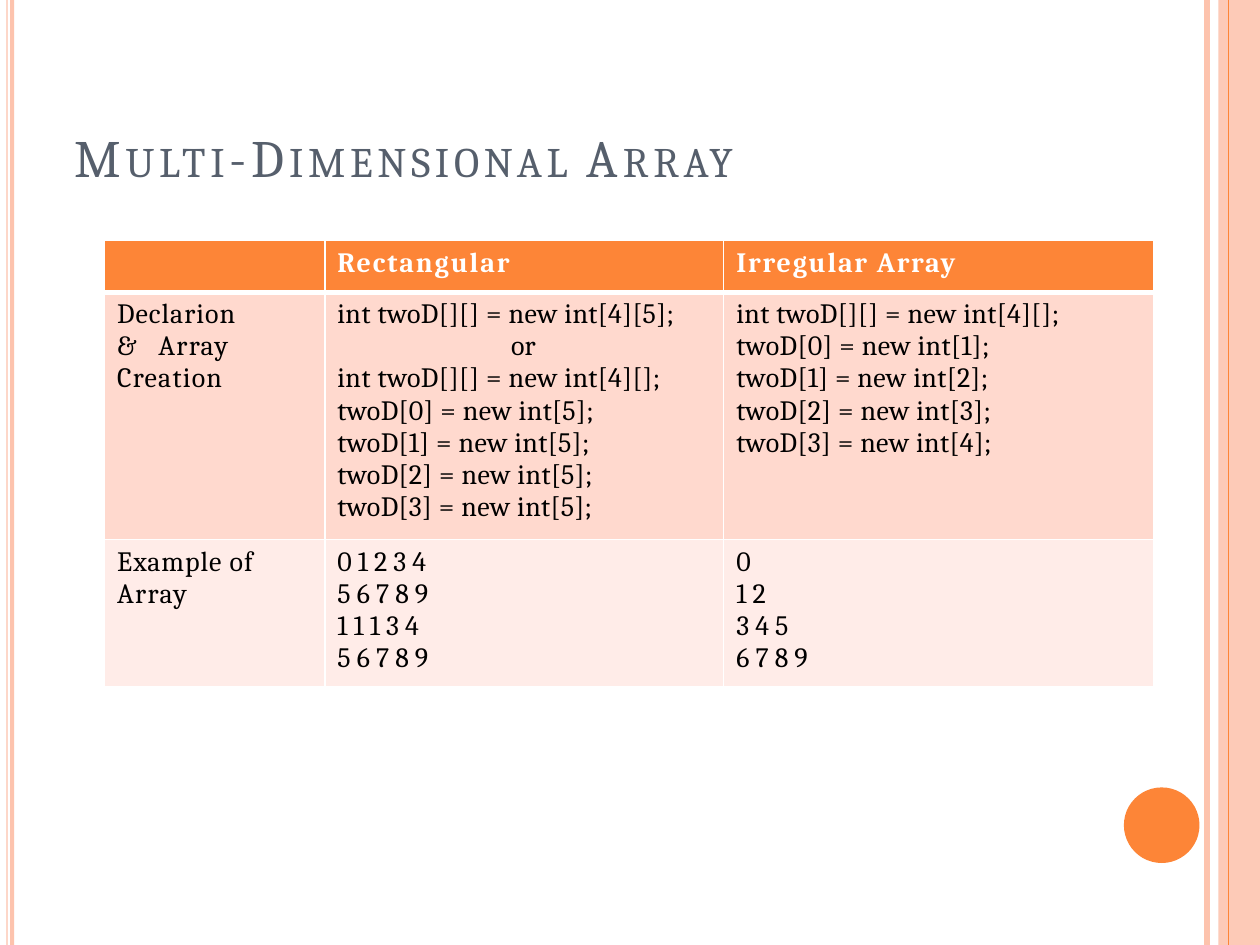
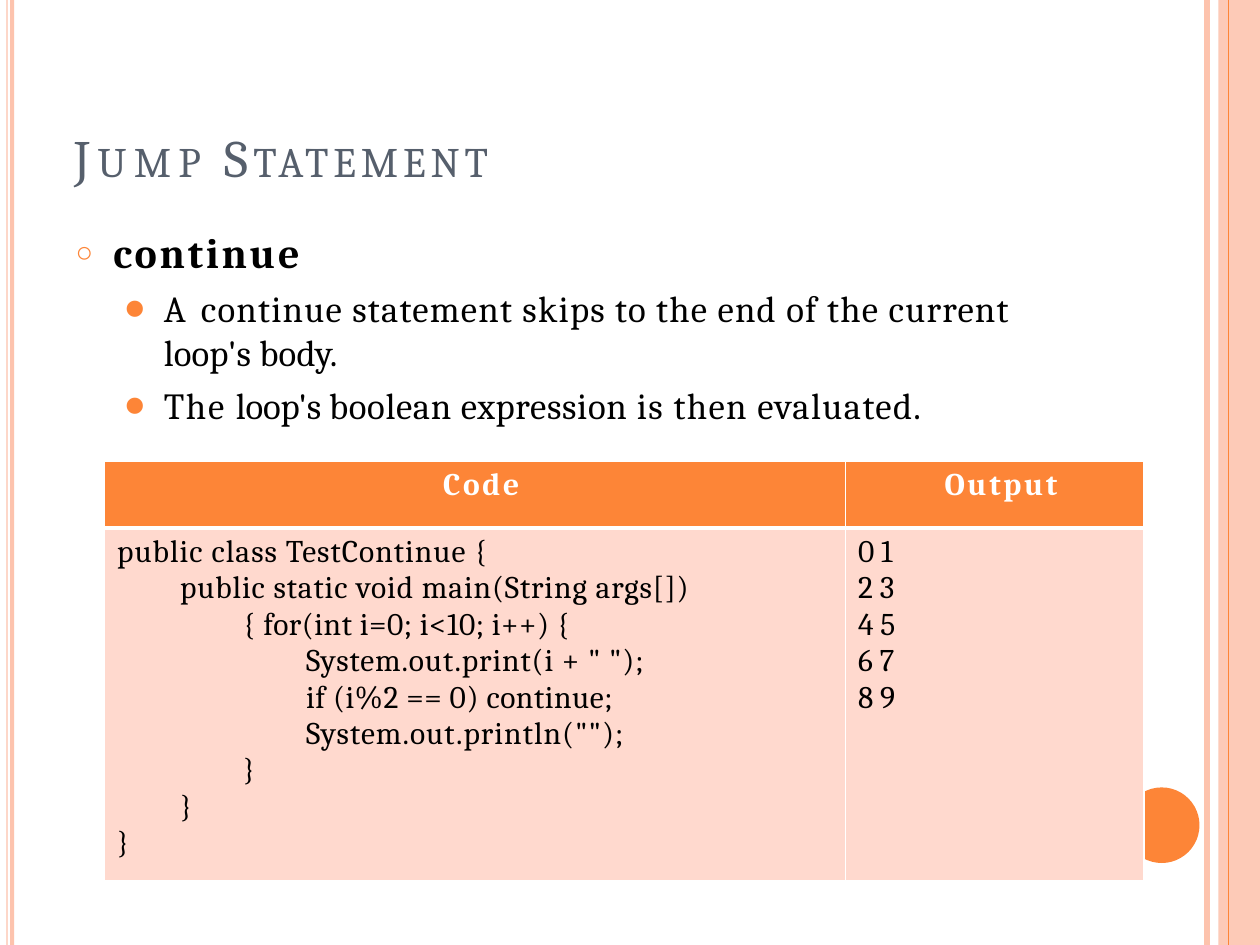
from dataclasses import dataclass
from itertools import groupby

from lxml.etree import SubElement
from pptx import Presentation
from pptx.dml.color import RGBColor
from pptx.enum.shapes import MSO_CONNECTOR as Connector, MSO_SHAPE as Shape
from pptx.enum.text import MSO_ANCHOR as Anchor, MSO_AUTO_SIZE as AutoSize, PP_ALIGN as Align
from pptx.oxml.ns import qn
from pptx.util import Inches, Pt

ORANGE = RGBColor(0xFD, 0x85, 0x37)
PEACH = RGBColor(0xFD, 0xC3, 0xAD)
SLATE = RGBColor(0x56, 0x5F, 0x6C)
BLACK = RGBColor(0, 0, 0)
WHITE = RGBColor(0xFF, 0xFF, 0xFF)
ROW_TINTS = (RGBColor(0xFF, 0xD9, 0xCE), RGBColor(0xFF, 0xEC, 0xE8))

FACE = "Cambria"
WIDTH, HEIGHT = Inches(10), Inches(7.5)
COLUMN, ROW = WIDTH // 100, HEIGHT // 100
HAIR, RULE = 1, 3
CELL_PAD = {"margin_left": Inches(0.1), "margin_right": 0,
            "margin_top": Inches(0.05), "margin_bottom": 0}
PLAIN_FRAME = {"margin_left": 0, "margin_right": 0, "margin_bottom": 0,
               "auto_size": AutoSize.NONE, "vertical_anchor": Anchor.TOP}


@dataclass
class Line:
    phrases: list
    indent: float = 0
    align: Align = Align.LEFT


def spaced(text, spacing=0.0, indent=0, align=Align.LEFT):
    return Line([(text, spacing)], indent, align)


def box(left, top, width, height):
    return (int(left * COLUMN), int(top * ROW), int(width * COLUMN), int(height * ROW))


def apply(target, values):
    for key, value in values.items():
        setattr(target, key, value)


def add_run(paragraph, text, spacing, size, color, bold=False):
    run = paragraph.add_run()
    run.text = text
    apply(run.font, {"name": FACE, "size": Pt(size), "bold": bold})
    run.font.color.rgb = color
    run.font._element.set("spc", str(round(spacing * 100)))


def set_indent(paragraph, left, first=0.0):
    properties = paragraph._p.get_or_add_pPr()
    properties.set("marL", str(Inches(left)))
    properties.set("indent", str(Inches(first)))
    return properties


def write_lines(frame, lines, size, color, bold=False):
    for number, line in enumerate(lines):
        paragraph = frame.add_paragraph() if number else frame.paragraphs[0]
        set_indent(paragraph, line.indent)
        paragraph.alignment = line.align
        for text, spacing in line.phrases:
            add_run(paragraph, text, spacing, size, color, bold)


def add_filled(slide, preset, place, color, opacity=100):
    shape = slide.shapes.add_shape(preset, *box(*place))
    shape.shadow.inherit = False
    shape.fill.solid()
    shape.fill.fore_color.rgb = color
    shape.line.fill.background()
    if opacity < 100:
        tint = shape._element.spPr.find(qn("a:solidFill"))[0]
        SubElement(tint, qn("a:alpha")).set("val", str(opacity * 1000))


def add_vertical(slide, column, color, weight):
    x = int(column * COLUMN)
    rule = slide.shapes.add_connector(Connector.STRAIGHT, x, 0, x, HEIGHT)
    rule.line.color.rgb = color
    rule.line.width = Pt(weight)
    SubElement(rule._element.spPr, qn("a:effectLst"))


def add_frame_bands(slide):
    add_vertical(slide, 95.8, PEACH, 3)
    add_filled(slide, Shape.OVAL, (89.2, 83.33, 6, 8), ORANGE)
    for left, width in ((0.5, 0.12), (0.8, 0.32)):
        add_filled(slide, Shape.RECTANGLE, (left, 0, width, 100), PEACH)
    add_filled(slide, Shape.RECTANGLE, (96.7, 0, 3.3, 100), PEACH, 87)
    add_vertical(slide, 97.5, ORANGE, 0.75)


def place_text(holder, place, top_margin):
    apply(holder, dict(zip(("left", "top", "width", "height"), box(*place))))
    apply(holder.text_frame, PLAIN_FRAME)
    holder.text_frame.margin_top = Inches(top_margin)
    return holder.text_frame


def add_title(slide, phrases, columns):
    frame = place_text(slide.shapes.title, (5.9, 13.07, columns, 7.07), 0.01)
    frame.word_wrap = False
    paragraph = frame.paragraphs[0]
    paragraph.alignment = Align.LEFT
    for words, spacing in phrases:
        for tall, letters in groupby(words, lambda c: c.isupper() or c == "-"):
            add_run(paragraph, "".join(letters).upper(), spacing, 30 if tall else 24, SLATE)


def add_bullets(slide, place, points):
    styles = ({"left": 0.31, "mark": "○", "scale": 69, "size": 24, "before": 0},
              {"left": 0.71, "mark": "⚫", "scale": 79, "size": 21, "before": 5})
    frame = place_text(slide.placeholders[1], place, 0.1)
    frame.word_wrap = True
    for number, (level, phrases) in enumerate(points):
        style = styles[level]
        paragraph = frame.add_paragraph() if number else frame.paragraphs[0]
        properties = set_indent(paragraph, style["left"], -0.3)
        tint = SubElement(SubElement(properties, qn("a:buClr")), qn("a:srgbClr"))
        tint.set("val", str(ORANGE))
        SubElement(properties, qn("a:buSzPct")).set("val", str(style["scale"] * 1000))
        SubElement(properties, qn("a:buChar")).set("char", style["mark"])
        apply(paragraph, {"level": level, "space_before": Pt(style["before"])})
        for text, spacing in phrases:
            add_run(paragraph, text, spacing, style["size"], BLACK, level == 0)


def set_borders(cell, top, bottom):
    properties = cell._tc.get_or_add_tcPr()
    for side, weight in (("L", HAIR), ("R", HAIR), ("T", top), ("B", bottom)):
        edge = SubElement(properties, qn("a:ln" + side))
        edge.set("w", str(Pt(weight)))
        fill = SubElement(edge, qn("a:solidFill"))
        SubElement(fill, qn("a:srgbClr")).set("val", str(WHITE))


def share_out(tracks, total, attribute, weights):
    for track, weight in zip(tracks, weights):
        setattr(track, attribute, int(total * weight / sum(weights)))


def add_grid(slide, place, widths, heights, content, size):
    area = box(*place)
    table = slide.shapes.add_table(len(heights), len(widths), *area).table
    table.horz_banding = False
    share_out(table.columns, area[2], "width", widths)
    share_out(table.rows, area[3], "height", heights)
    for r, row in enumerate(content):
        header = r == 0
        for c, lines in enumerate(row):
            cell = table.cell(r, c)
            apply(cell, CELL_PAD)
            set_borders(cell, RULE if r == 1 else HAIR, RULE if header else HAIR)
            cell.fill.solid()
            cell.fill.fore_color.rgb = ORANGE if header else ROW_TINTS[r - 1]
            write_lines(cell.text_frame, lines, size, WHITE if header else BLACK, header)


def row_allocations(lengths):
    return [spaced(f"twoD[{i}] = new int[{n}];", 0.25) for i, n in enumerate(lengths)]


def number_rows(*rows):
    return [spaced(row) for row in rows]


def build_array_slide(deck):
    slide = deck.slides.add_slide(deck.slide_layouts[5])
    add_frame_bands(slide)
    add_title(slide, [("Multi-Dimensional Array", 2.7)], 54.1)
    open_rows = spaced("int twoD[][] = new int[4][];", 0.25)
    content = [
        [[], [spaced("Rectangular", 1.1)], [spaced("Irregular Array", 1.05)]],
        [[spaced("Declarion", 0.6), Line([("& ", 4.5), ("Array", 0.8)]),
          spaced("Creation", 0.7)],
         [spaced("int twoD[][] = new int[4][5];", 0.25), spaced("or", indent=1.38),
          open_rows, *row_allocations([5] * 4)],
         [open_rows, *row_allocations(range(1, 5))]],
        [[spaced("Example of", 0.6), spaced("Array", 0.8)],
         number_rows("0 1 2 3 4", "5 6 7 8 9", "1 1 1 3 4", "5 6 7 8 9"),
         number_rows("0", "1 2", "3 4 5", "6 7 8 9")],
    ]
    add_grid(slide, (8.3, 25.47, 83.3, 47.2), (1.75, 3.17, 3.42), (0.41, 1.97, 1.17),
             content, 16)


def build_jump_slide(deck):
    slide = deck.slides.add_slide(deck.slide_layouts[1])
    add_frame_bands(slide)
    add_title(slide, [("Jump ", 4.2), ("Statement", 2.8)], 34.2)
    add_bullets(slide, (5.9, 22.67, 77.8, 22.67), [
        (0, [("continue", 1.6)]),
        (1, [("A ", 2), ("continue statement skips to the end of the current ", 0.7),
             ("loop's body.", 0.1)]),
        (1, [("The ", 1), ("loop's ", -0.1), ("boolean expression ", 0.4),
             ("is then evaluated.", 0.8)]),
    ])
    code = [
        (0, "public class TestContinue {", 0.6),
        (1, "public static void main(String args[])", 0.5),
        (2, "{ for(int i=0; i<10; i++) {", 0.3),
        (3, 'System.out.print(i + " ");', 0.5),
        (3, "if (i%2 == 0) continue;", 0.3),
        (3, 'System.out.println("");', 0.6),
        (2, "}", 0),
        (1, "}", 0),
        (0, "}", 0),
    ]
    content = [
        [[spaced("Code", 1.6, align=Align.CENTER)], [spaced("Output", 1.5, align=Align.CENTER)]],
        [[spaced(text, spacing, depth * 0.5) for depth, text, spacing in code],
         number_rows("0 1", "2 3", "4 5", "6 7", "8 9")],
    ]
    add_grid(slide, (8.3, 48.8, 82.5, 44.4), (5.88, 2.37), (0.53, 2.8), content, 18)


def main():
    deck = Presentation()
    apply(deck, {"slide_width": WIDTH, "slide_height": HEIGHT})
    build_array_slide(deck)
    build_jump_slide(deck)
    deck.save("out.pptx")


if __name__ == "__main__":
    main()
